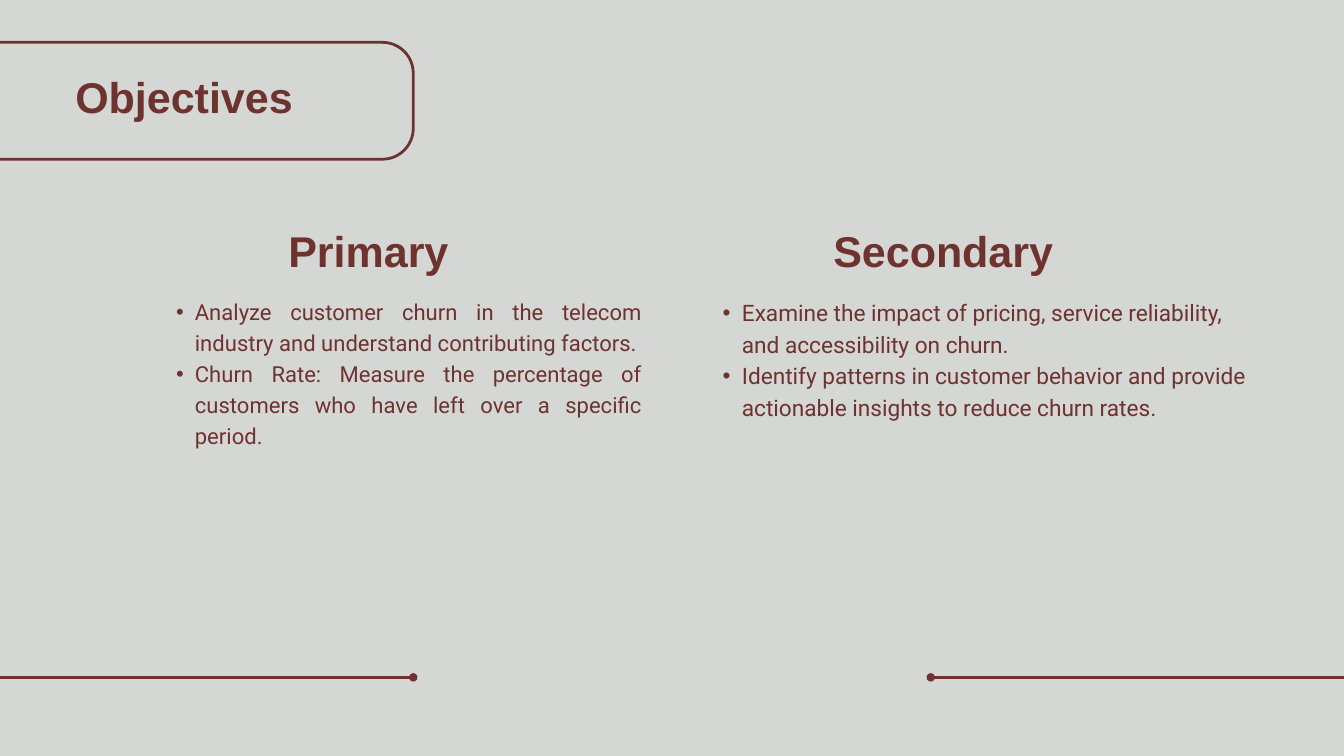
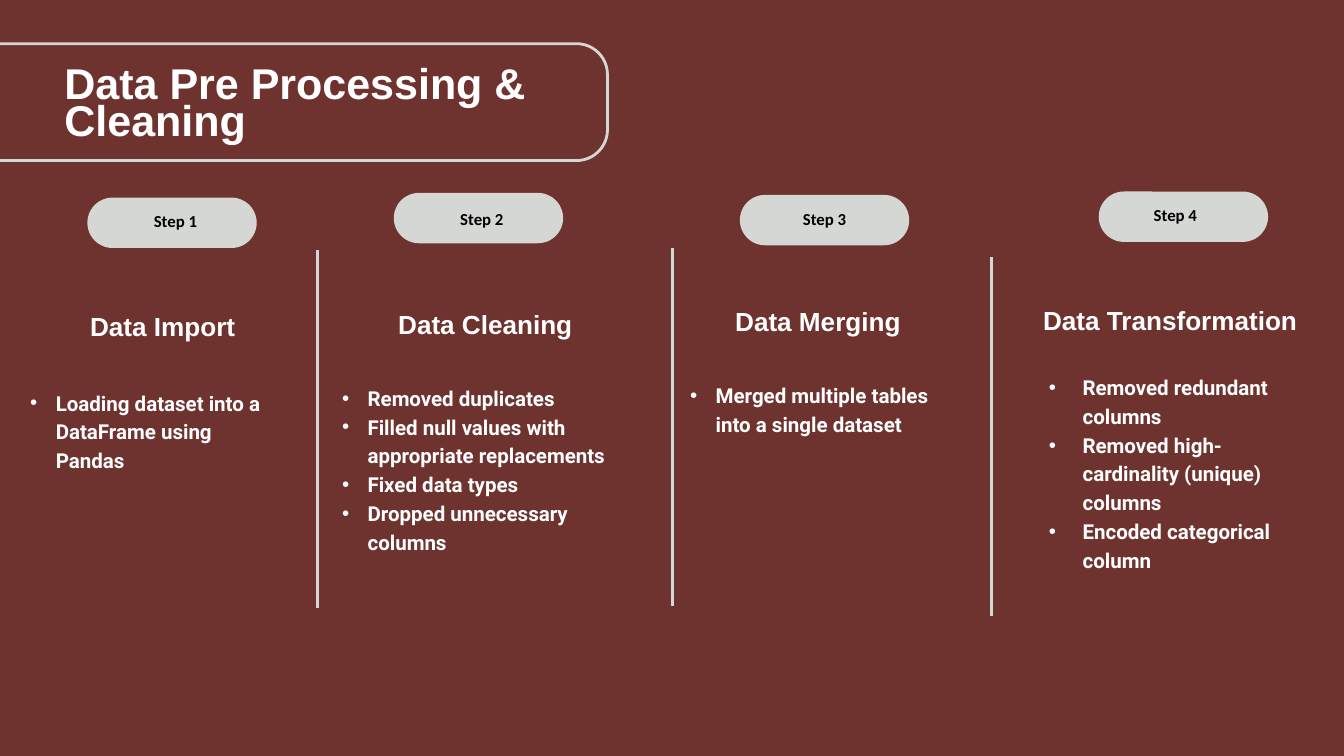
from dataclasses import dataclass

from lxml.etree import SubElement
from pptx import Presentation
from pptx.dml.color import RGBColor as RGB
from pptx.enum.shapes import MSO_CONNECTOR as Connector, MSO_SHAPE as Preset
from pptx.enum.text import MSO_AUTO_SIZE as AutoSize, PP_ALIGN as Align
from pptx.oxml.ns import qn
from pptx.util import Inches, Pt


@dataclass(frozen=True)
class Theme:
    maroon: RGB = RGB.from_string("6E332E")
    mist: RGB = RGB.from_string("D5D7D5")
    white: RGB = RGB.from_string("FFFFFF")
    black: RGB = RGB.from_string("000000")
    heading_font: str = "Arial"
    body_font: str = "Roboto"
    label_font: str = "Calibri"
    title_size: float = 46.1
    title_leading: float = 40.1
    step_size: float = 28
    step_leading: float = 30.9
    bullet_size: float = 22
    label_size: float = 18
    line_width: float = 3
    corner_radius: float = 0.46


THEME = Theme()


@dataclass(frozen=True)
class Box:
    left: float
    top: float
    width: float
    height: float

    def inner(self, dx, dy, width, height):
        """Box placed relative to this one."""
        return Box(self.left + dx, self.top + dy, width, height)

    def lengths(self):
        return [Inches(n) for n in (self.left, self.top, self.width, self.height)]


@dataclass(frozen=True)
class Style:
    font: str
    size: float
    color: RGB
    bold: bool = True
    leading: float | None = None
    align: Align | None = None
    indent: float = 0
    level: int = 0


@dataclass(frozen=True)
class Step:
    name: str
    heading: str
    tasks: tuple
    column: Box
    pill_dx: float
    label_offset: tuple
    heading_dy: float
    tasks_box: tuple
    indent: float = 0.38


STEPS = (
    Step("Step 1", "Data Import",
         ("Loading dataset into a DataFrame using Pandas",),
         Box(0.03, 2.94, 4.78, 6), 1.27, (0.89, 0.14), 1.72, (0.42, 2.81, 3.71, 1.28)),
    Step("Step 2", "Data Cleaning",
         ("Removed duplicates",
          "Filled null values with appropriate replacements",
          "Fixed data types",
          "Dropped unnecessary columns"),
         Box(4.83, 2.87, 4.78, 6), 1.03, (0.89, 0.18), 1.75, (0.26, 2.81, 4.41, 2.59)),
    Step("Step 3", "Data Merging",
         ("Merged multiple tables into a single dataset",),
         Box(9.78, 2.9, 4.78, 6), 1.23, (0.84, 0.15), 1.68, (0.49, 2.74, 4.01, 0.85)),
    Step("Step 4", "Data Transformation",
         ("Removed redundant columns",
          "Removed high-cardinality (unique) columns",
          "Encoded categorical column"),
         Box(15.02, 2.85, 4.78, 6), 1.33, (0.72, 0.15), 1.72, (0.59, 2.67, 4.01, 3.02), 0.5),
)
DIVIDERS = ((4.72, 3.72), (10.01, 3.69), (14.75, 3.83))
DIVIDER_HEIGHT = 5.33


# Shared building blocks
def add_slide(deck, background):
    slide = deck.slides.add_slide(deck.slide_layouts[6])
    fill = slide.background.fill
    fill.solid()
    fill.fore_color.rgb = background
    return slide


def add_text(slide, box, lines, style, inset=(0, 0), wrap=True):
    frame = slide.shapes.add_textbox(*box.lengths()).text_frame
    frame.margin_left = frame.margin_right = Inches(inset[0])
    frame.margin_top = frame.margin_bottom = Inches(inset[1])
    frame.word_wrap = wrap
    frame.auto_size = AutoSize.SHAPE_TO_FIT_TEXT
    frame.text = "\n".join(lines)
    for paragraph in frame.paragraphs:
        paragraph.alignment = style.align
        paragraph.level = style.level
        if style.leading:
            paragraph.line_spacing = Pt(style.leading)
        if style.indent:
            add_bullet(paragraph, style)
        for run in paragraph.runs:
            run.font.name = style.font
            run.font.size = Pt(style.size)
            run.font.bold = style.bold
            run.font.color.rgb = style.color


def add_bullet(paragraph, style):
    """Hanging bullet; a second-level text starts at twice the indent."""
    props = paragraph._p.get_or_add_pPr()
    props.set("marL", str(Inches(style.indent * (style.level + 1))))
    props.set("indent", str(-Inches(style.indent)))
    SubElement(props, qn("a:buFont"), typeface="Arial")
    SubElement(props, qn("a:buChar"), char="•")


def add_line(slide, start, end, color, dot=False):
    line = slide.shapes.add_connector(
        Connector.STRAIGHT, *(Inches(n) for n in (*start, *end)))
    line.line.color.rgb = color
    line.line.width = Pt(THEME.line_width)
    if dot:
        SubElement(line.line._get_or_add_ln(), qn("a:tailEnd"),
                   type="oval", w="med", len="med")
    SubElement(line._element.spPr, qn("a:effectLst"))


def add_rounded(slide, box, radius):
    rounded = slide.shapes.add_shape(Preset.ROUNDED_RECTANGLE, *box.lengths())
    rounded.adjustments[0] = radius / box.height
    rounded.shadow.inherit = False
    return rounded


def heading_style(color):
    return Style(THEME.heading_font, THEME.title_size, color,
                 leading=THEME.title_leading)


def add_title(slide, frame_box, title_box, title, frame_color, text_color):
    """Outlined tab entering from the left edge, with the slide title."""
    tab = add_rounded(slide, frame_box, THEME.corner_radius)
    tab.fill.background()
    tab.line.color.rgb = frame_color
    tab.line.width = Pt(THEME.line_width)
    add_text(slide, title_box, [title], heading_style(text_color))


# Objectives slide
def add_objectives(slide, box, heading, heading_dx, goals, style):
    add_text(slide, box.inner(heading_dx, 0, 5.25, 0.63), [heading],
             heading_style(THEME.maroon))
    add_text(slide, box.inner(0, 0.83, box.width, box.height - 0.83), goals, style)


def add_footer_lines(slide, slide_width, top):
    reach, overhang = 6.15, 1.22
    for start, end in ((-overhang, reach),
                       (slide_width + overhang, slide_width - reach)):
        add_line(slide, (start, top), (end, top), THEME.maroon, dot=True)


def build_objectives(deck):
    slide = add_slide(deck, THEME.mist)
    tab = Box(-1.44, 0.63, 7.59, 1.74)
    add_title(slide, tab, tab.inner(2.56, 0.63, 4.49, 0.63), "Objectives",
              THEME.maroon, THEME.maroon)
    add_footer_lines(slide, 20, 10.08)
    add_objectives(
        slide, Box(2.34, 3.55, 7.21, 3.13), "Primary", 1.95,
        ["Analyze customer churn in the telecom industry and understand "
         "contributing factors.",
         "Churn Rate: Measure the percentage of customers who have left over "
         "a specific period."],
        Style(THEME.body_font, 23.6, THEME.maroon, bold=False, leading=33.1,
              align=Align.JUSTIFY, indent=0.28, level=1))
    add_objectives(
        slide, Box(10.47, 3.55, 8.19, 3.67), "Secondary", 1.93,
        ["Examine the impact of pricing, service reliability, and "
         "accessibility on churn.",
         "Identify patterns in customer behavior and provide actionable "
         "insights to reduce churn rates."],
        Style(THEME.body_font, 24.3, THEME.maroon, bold=False, leading=34,
              indent=0.285, level=1))


# Data preparation slide
def add_step(slide, step):
    column = step.column
    # Pill with the step number
    pill_box = column.inner(step.pill_dx, 0, 2.52, 0.75)
    pill = add_rounded(slide, pill_box, pill_box.height / 2)
    pill.fill.solid()
    pill.fill.fore_color.rgb = THEME.mist
    pill.line.fill.background()
    add_text(slide, pill_box.inner(*step.label_offset, 0.85, 0.4), [step.name],
             Style(THEME.label_font, THEME.label_size, THEME.black),
             inset=(0.1, 0.05), wrap=False)
    # Heading and tasks
    add_text(slide, column.inner(0, step.heading_dy, column.width, 0.44),
             [step.heading],
             Style(THEME.heading_font, THEME.step_size, THEME.white,
                   leading=THEME.step_leading, align=Align.CENTER))
    add_text(slide, column.inner(*step.tasks_box), step.tasks,
             Style(THEME.body_font, THEME.bullet_size, THEME.white,
                   leading=30.8, indent=step.indent))


def build_preparation(deck):
    slide = add_slide(deck, THEME.maroon)
    tab = Box(-0.78, 0.65, 9.82, 1.74)
    add_title(slide, tab, tab.inner(1.74, 0.4, 7.26, 1.14),
              "Data Pre Processing & Cleaning", THEME.mist, THEME.white)
    for left, top in DIVIDERS:
        add_line(slide, (left, top), (left, top + DIVIDER_HEIGHT), THEME.mist)
    for step in STEPS:
        add_step(slide, step)


def main():
    deck = Presentation()
    deck.slide_width, deck.slide_height = Inches(20), Inches(11.25)
    build_objectives(deck)
    build_preparation(deck)
    deck.save("out.pptx")


if __name__ == "__main__":
    main()
